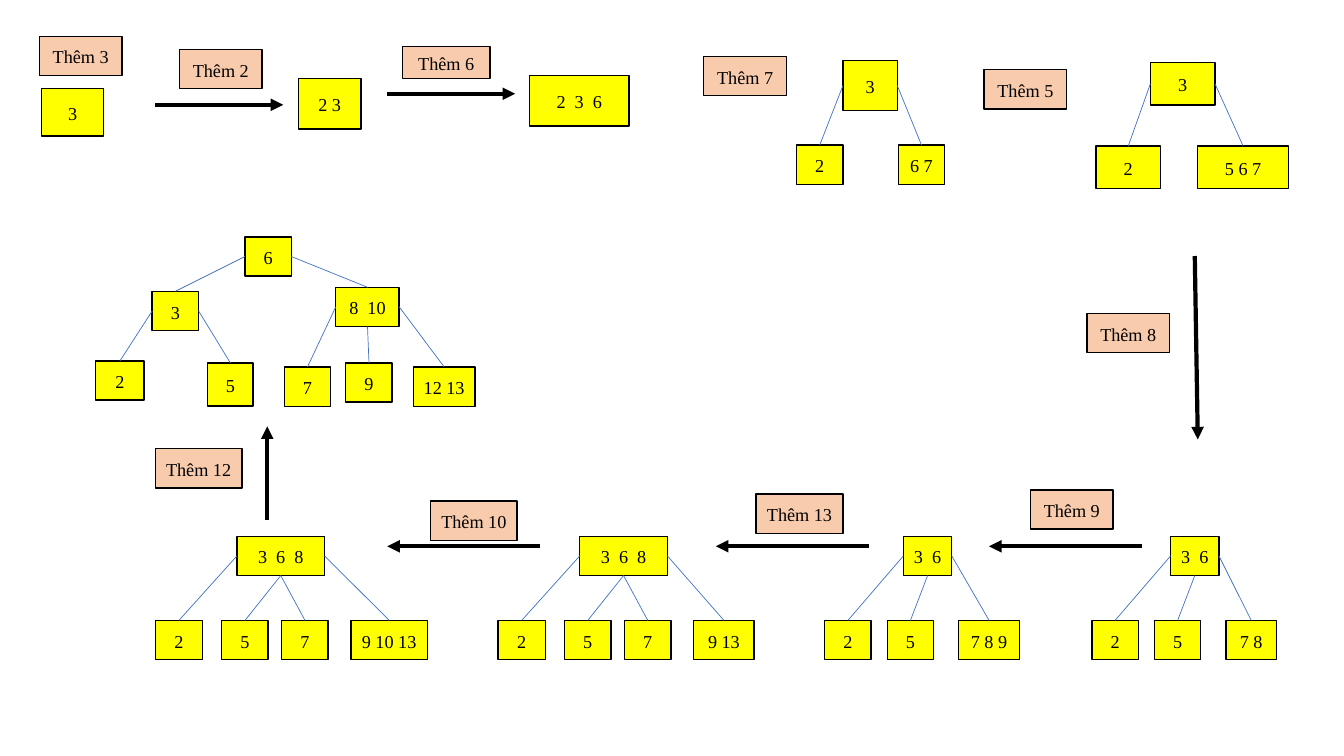
import dataclasses

import lxml.etree
import pptx
import pptx.dml.color
import pptx.enum.shapes
import pptx.enum.text
import pptx.oxml.ns
import pptx.util

COLUMNS, ROWS = 133.3, 75
CELL = pptx.util.Inches(0.1)
COLOURS = {"node": "FFFF00", "step": "F8CBAD", "ink": "000000", "edge": "4472C4"}
TOP_SITE, LEFT_SITE, BOTTOM_SITE, RIGHT_SITE = range(4)
ROOT_ROW, LEAF_ROW = 53.2, 61.55

FRAME_FORMAT = {
    "word_wrap": True,
    "vertical_anchor": pptx.enum.text.MSO_ANCHOR.MIDDLE,
    "margin_left": 0,
    "margin_right": 0,
}
PARAGRAPH_FORMAT = {
    "alignment": pptx.enum.text.PP_ALIGN.CENTER,
    "line_spacing": 1.07,
    "space_after": pptx.util.Pt(8),
}
FONT_FORMAT = {"name": "Times New Roman", "size": pptx.util.Pt(13)}


@dataclasses.dataclass
class Node:
    """A tree node with its keys, its place in grid cells and its children."""

    keys: str
    left: float
    top: float
    width: float = 4.6
    height: float = 3.9
    children: tuple = ()


def cells(*counts):
    """Turn counts of grid cells into lengths."""
    return [round(count * CELL) for count in counts]


def colour(name):
    """Look up a colour by its role."""
    return pptx.dml.color.RGBColor.from_string(COLOURS[name])


def apply_format(target, values):
    """Set every attribute of a format on an object."""
    for name, value in values.items():
        setattr(target, name, value)


def add_box(slide, fill, text, *place):
    """Draw an outlined rectangle with centred text."""
    box = slide.shapes.add_shape(pptx.enum.shapes.MSO_SHAPE.RECTANGLE, *cells(*place))
    box.shadow.inherit = False
    box.fill.solid()
    box.fill.fore_color.rgb = colour(fill)
    box.line.color.rgb = colour("ink")
    box.line.width = pptx.util.Pt(1)
    paragraph = box.text_frame.paragraphs[0]
    paragraph.text = text
    apply_format(box.text_frame, FRAME_FORMAT)
    apply_format(paragraph, PARAGRAPH_FORMAT)
    apply_format(paragraph.font, FONT_FORMAT)
    paragraph.font.color.rgb = colour("ink")
    return box


def add_line(slide, ends, ink, points):
    """Draw a straight connector without a shadow."""
    line = slide.shapes.add_connector(
        pptx.enum.shapes.MSO_CONNECTOR.STRAIGHT, *cells(*ends)
    )
    line.line.color.rgb = colour(ink)
    line.line.width = pptx.util.Pt(points)
    lxml.etree.SubElement(line.element.spPr, pptx.oxml.ns.qn("a:effectLst"))
    return line


def add_arrow(slide, *ends):
    """Draw a thick arrow from one step to the next."""
    arrow = add_line(slide, ends, "ink", 3)
    outline = arrow.element.spPr.find(pptx.oxml.ns.qn("a:ln"))
    lxml.etree.SubElement(outline, pptx.oxml.ns.qn("a:tailEnd"), type="triangle")


def add_tree(slide, node):
    """Draw a node, its subtrees and the edges that join them."""
    parent = add_box(
        slide, "node", node.keys, node.left, node.top, node.width, node.height
    )
    last = len(node.children) - 1
    for index, child in enumerate(node.children):
        child_box = add_tree(slide, child)
        site = {0: LEFT_SITE, last: RIGHT_SITE}.get(index, BOTTOM_SITE)
        edge = add_line(slide, (0, 0, 0, 0), "edge", 0.5)
        edge.begin_connect(child_box, TOP_SITE)
        edge.end_connect(parent, site)
    return parent


def three_way_tree(left, last_keys, last_width):
    """Lay out a bottom-row tree whose root holds two keys."""
    return Node("3  6", left + 7.8, ROOT_ROW, 4.8, children=(
        Node("2", left, LEAF_ROW),
        Node("5", left + 6.2, LEAF_ROW),
        Node(last_keys, left + 13.3, LEAF_ROW, last_width),
    ))


def four_way_tree(left, last_keys, last_width):
    """Lay out a bottom-row tree whose root holds three keys."""
    return Node("3  6  8", left + 8.1, ROOT_ROW, 8.7, children=(
        Node("2", left, LEAF_ROW, 4.7),
        Node("5", left + 6.6, LEAF_ROW),
        Node("7", left + 12.55, LEAF_ROW),
        Node(last_keys, left + 19.4, LEAF_ROW, last_width),
    ))


def final_tree():
    """Lay out the three-level tree that ends the sequence."""
    left_branch = Node("3", 15.1, 28.9, children=(
        Node("2", 9.5, 35.8, 4.8),
        Node("5", 20.6, 36, 4.5, 4.3),
    ))
    right_branch = Node("8  10", 33.3, 28.5, 6.3, children=(
        Node("7", 28.2, 36.4),
        Node("9", 34.3, 36),
        Node("12 13", 41, 36.4, 6.1),
    ))
    return Node("6", 24.3, 23.5, children=(left_branch, right_branch))


def main():
    """Build the slide of step-by-step insertions into a search tree."""
    presentation = pptx.Presentation()
    presentation.slide_width, presentation.slide_height = cells(COLUMNS, ROWS)
    slide = presentation.slides.add_slide(presentation.slide_layouts[6])

    trees = [
        Node("3", 4.1, 8.8, 6.2, 4.7),
        Node("2 3", 29.6, 7.8, 6.2, 5),
        Node("2  3  6", 52.5, 7.5, 9.9, 5),
        Node("3", 83.6, 6, 5.4, 5, (
            Node("2", 79, 14.4), Node("6 7", 89.1, 14.4))),
        Node("3", 114.1, 6.2, 6.4, 4.2, (
            Node("2", 108.7, 14.5, 6.4, 4.2), Node("5 6 7", 118.8, 14.5, 9, 4.2))),
        three_way_tree(108.3, "7 8", 5),
        three_way_tree(81.8, "7 8 9", 6),
        four_way_tree(49.4, "9 13", 6),
        four_way_tree(15.4, "9 10 13", 7.6),
        final_tree(),
    ]
    for tree in trees:
        add_tree(slide, tree)

    steps = [
        (3, 3.9, 3.6, 8.2, 3.9), (2, 17.8, 4.9, 8.2, 3.9),
        (6, 39.9, 4.6, 8.7, 3.2), (7, 69.8, 5.6, 8.2, 3.9),
        (5, 97.6, 6.9, 8.2, 3.9), (8, 107.8, 31.1, 8.2, 3.9),
        (9, 102.2, 48.6, 8.2, 3.9), (13, 75, 49, 8.6, 3.9),
        (10, 42.7, 49.7, 8.6, 3.9), (12, 15.4, 44.5, 8.6, 3.9),
    ]
    for key, *place in steps:
        add_box(slide, "step", f"Thêm {key}", *place)

    add_arrow(slide, 15.4, 10.4, 28.1, 10.4)
    add_arrow(slide, 38.4, 9.3, 51.1, 9.3)
    add_arrow(slide, 118.5, 25.4, 118.8, 43.6)
    for start in (113.3, 86.2, 53.6):
        add_arrow(slide, start, 54.2, start - 15.2, 54.2)
    add_arrow(slide, 26.5, 51.6, 26.5, 42.3)

    presentation.save("out.pptx")


if __name__ == "__main__":
    main()
